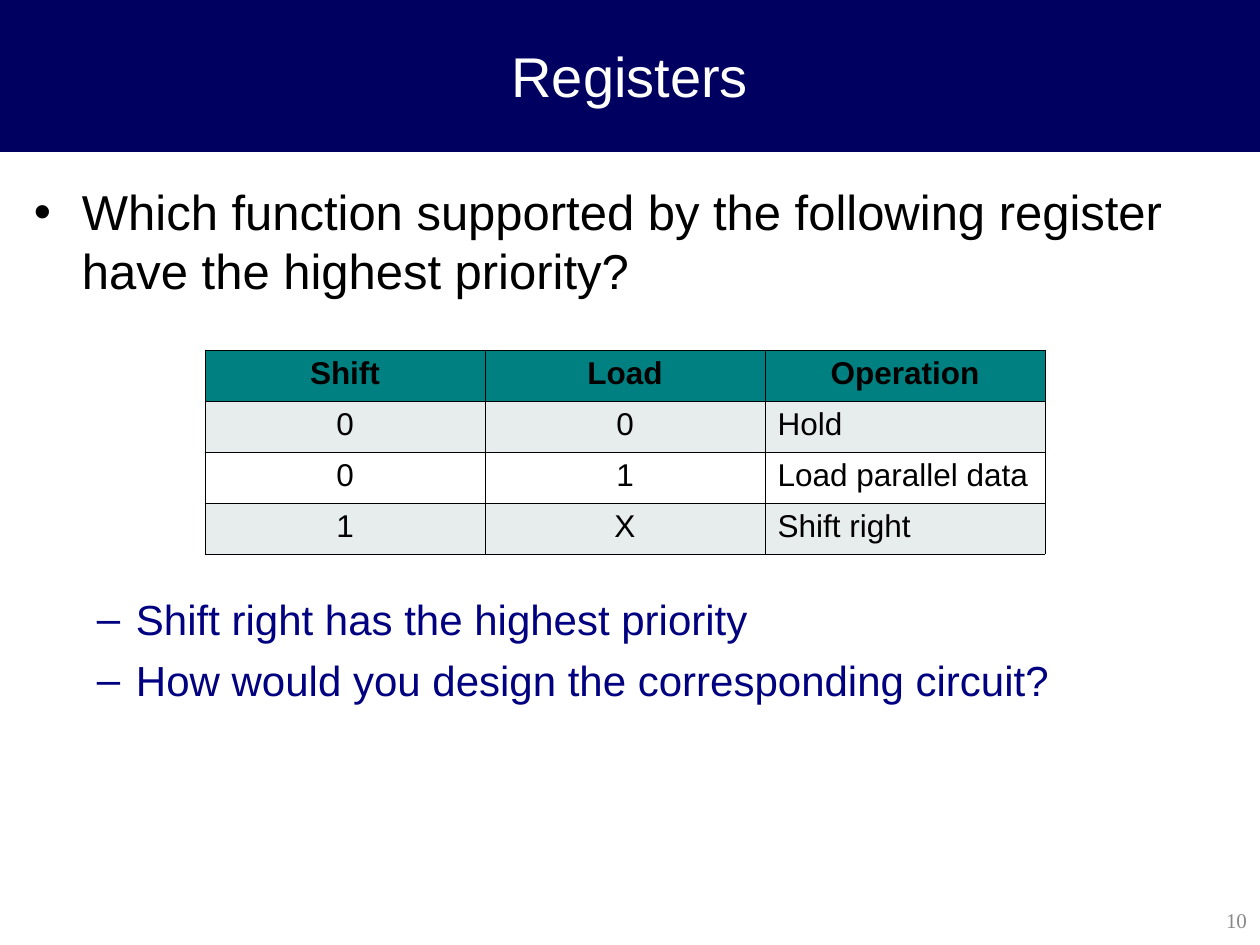
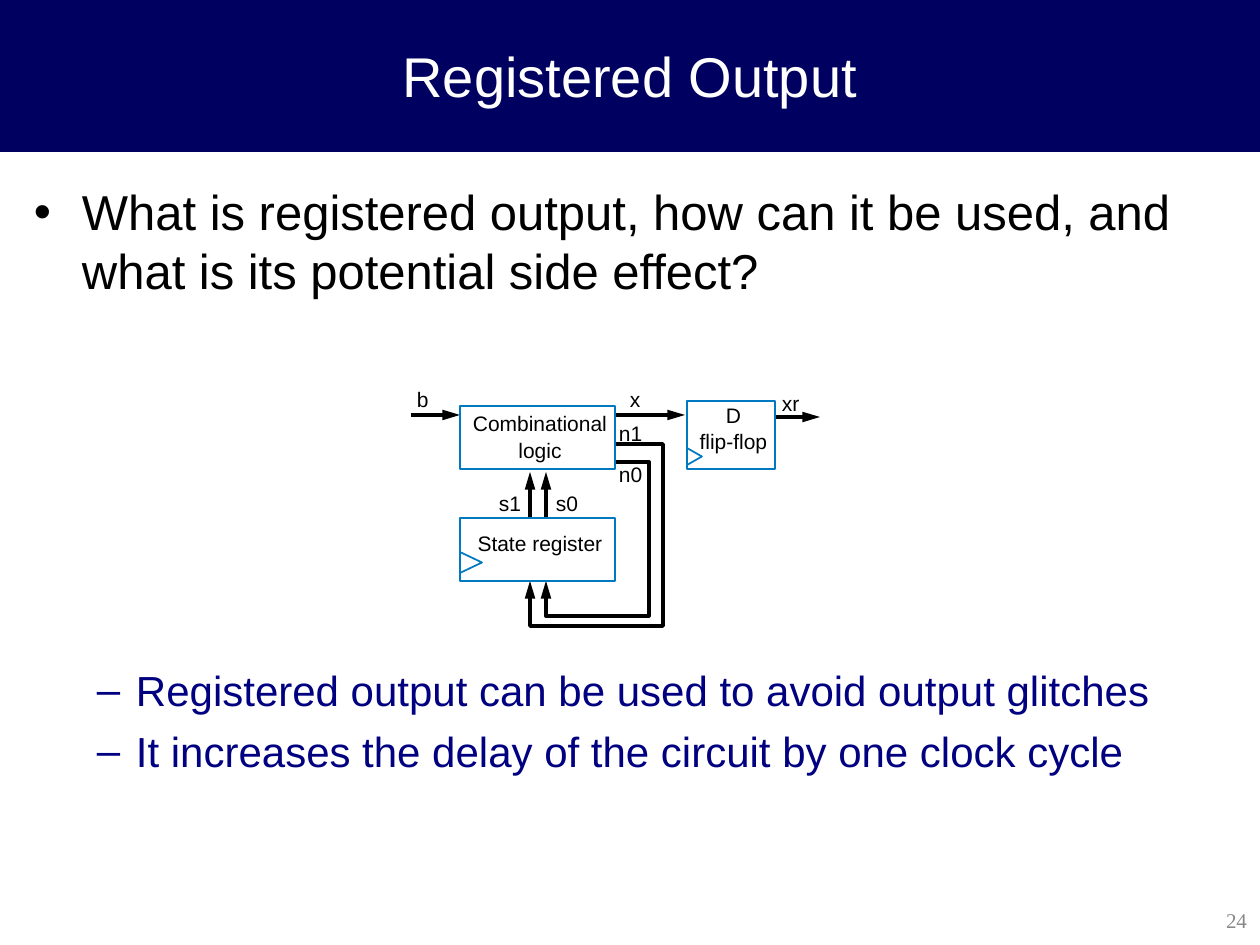
from dataclasses import dataclass

from lxml import etree
from pptx import Presentation
from pptx.dml.color import RGBColor
from pptx.enum.shapes import MSO_CONNECTOR, MSO_SHAPE
from pptx.enum.text import MSO_ANCHOR, PP_ALIGN
from pptx.oxml.ns import qn
from pptx.util import Emu, Pt

RECT = MSO_SHAPE.RECTANGLE
STRAIGHT = MSO_CONNECTOR.STRAIGHT
TOP, MIDDLE = MSO_ANCHOR.TOP, MSO_ANCHOR.MIDDLE
LEFT, CENTER, RIGHT = PP_ALIGN.LEFT, PP_ALIGN.CENTER, PP_ALIGN.RIGHT


@dataclass(frozen=True)
class Theme:
    font: str = "Arial"
    number_font: str = "Times New Roman"
    band: str = "000060"
    white: str = "FFFFFF"
    ink: str = "000000"
    answer: str = "000080"
    number: str = "898989"
    header: str = "008080"
    stripe: str = "E7EDED"
    block: str = "0079C1"
    title_size: int = 32
    question_size: int = 28
    answer_size: int = 24
    table_size: int = 18
    small_size: int = 12


T = Theme()
PX = 914400 / 126
LEADING = 1.2

# Boxes: left, top, width, height in px
SLIDE = (1260, 945)
BAND = (0, 0, 1260, 151)
QUESTION = (21, 176, 1218, 130)
NUMBER = (993, 895, 267, 50)
TABLE = (205, 350, 840, 204)
DIAGRAM = (401, 377, 431, 262)


def px(n):
    return Emu(round(n * PX))


def emu(box):
    return [px(n) for n in box]


def rgb(color):
    return RGBColor.from_string(color)


def assign(obj, values):
    for name, value in values.items():
        setattr(obj, name, value)


def write(p, text, size, color=T.ink, font=T.font, bold=False, **paragraph):
    r = p.add_run()
    r.text = text
    assign(r.font, {"size": Pt(size), "name": font, "bold": bold})
    r.font.color.rgb = rgb(color)
    assign(p, paragraph)


def set_frame(tf, anchor=TOP, insets=(13, 6, 13, 6)):
    sides = ("margin_left", "margin_top", "margin_right", "margin_bottom")
    assign(tf, {"word_wrap": True, "vertical_anchor": anchor})
    assign(tf, dict(zip(sides, emu(insets))))
    return tf


def add_text(s, box, **frame):
    return set_frame(s.shapes.add_textbox(*emu(box)).text_frame, **frame)


def outline(sp, color, width):
    sp.line.color.rgb = rgb(color)
    sp.line.width = Pt(width)


def add_bullet(p, char, color, left, hang):
    pPr = p._p.get_or_add_pPr()
    pPr.set("marL", str(px(left)))
    pPr.set("indent", str(-px(hang)))
    clr = etree.SubElement(pPr, qn("a:buClr"))
    etree.SubElement(clr, qn("a:srgbClr"), val=color)
    etree.SubElement(pPr, qn("a:buFont"), typeface=T.font)
    etree.SubElement(pPr, qn("a:buChar"), char=char)


def add_arrowhead(sp):
    etree.SubElement(sp.line._get_or_add_ln(), qn("a:tailEnd"),
                     type="triangle", w="med", len="lg")


# Title band, question, answers and slide number
def add_bullets(s, box, lines, char, size, color, left, hang, gap):
    tf = add_text(s, box)
    for i, line in enumerate(lines):
        p = tf.add_paragraph() if i else tf.paragraphs[0]
        add_bullet(p, char, color, left, hang)
        write(p, line, size, color, line_spacing=Pt(size * LEADING),
              space_before=Pt(gap if i else 0))


def add_question_slide(prs, title, number, question, answers, answers_top):
    s = prs.slides.add_slide(prs.slide_layouts[6])
    band = s.shapes.add_shape(RECT, *emu(BAND))
    band.shadow.inherit = False
    band.fill.solid()
    band.fill.fore_color.rgb = rgb(T.band)
    outline(band, T.band, 0.75)
    tf = set_frame(band.text_frame, anchor=MIDDLE)
    write(tf.paragraphs[0], title, T.title_size, T.white, alignment=CENTER)

    left, _, width, _ = QUESTION
    add_bullets(s, QUESTION, [question], "•", T.question_size, T.ink, 48, 48, 7)
    add_bullets(s, (left, answers_top, width, 125), answers, "–",
                T.answer_size, T.answer, 102, 39, 6)

    tf = add_text(s, NUMBER, anchor=MIDDLE)
    write(tf.paragraphs[0], str(number), T.small_size, T.number,
          T.number_font, alignment=RIGHT)
    return s


# Table of register operations
def add_borders(cell):
    tcPr = cell._tc.get_or_add_tcPr()
    for i, side in enumerate(("lnL", "lnR", "lnT", "lnB")):
        ln = etree.Element(qn(f"a:{side}"), w=str(Pt(0.45)))
        fill = etree.SubElement(ln, qn("a:solidFill"))
        etree.SubElement(fill, qn("a:srgbClr"), val=T.ink)
        tcPr.insert(i, ln)


def add_operations(s, box, rows):
    width, height = box[2:]
    table = s.shapes.add_table(len(rows), len(rows[0]), *emu(box)).table
    assign(table, {"first_row": False, "horz_banding": False})
    for col in table.columns:
        col.width = px(width / len(rows[0]))
    for i, row in enumerate(rows):
        table.rows[i].height = px(height / len(rows))
        fill = T.header if i == 0 else T.stripe if i % 2 else T.white
        for j, text in enumerate(row):
            cell = table.cell(i, j)
            cell.fill.solid()
            cell.fill.fore_color.rgb = rgb(fill)
            add_borders(cell)
            align = LEFT if i and j == len(row) - 1 else CENTER
            write(cell.text_frame.paragraphs[0], text, T.table_size,
                  bold=i == 0, alignment=align)


# Circuit diagram
def add_path(s, points, color, width):
    start, *rest = [emu(point) for point in points]
    builder = s.shapes.build_freeform(*start)
    builder.add_line_segments(rest, close=False)
    sp = builder.convert_to_shape()
    sp.shadow.inherit = False
    sp.fill.background()
    outline(sp, color, width)
    return sp


def add_block(s, box, lines, insets):
    sp = s.shapes.add_shape(RECT, *emu(box))
    sp.shadow.inherit = False
    sp.fill.background()
    outline(sp, T.block, 1.5)
    tf = set_frame(sp.text_frame, insets=insets)
    for i, line in enumerate(lines):
        p = tf.add_paragraph() if i else tf.paragraphs[0]
        write(p, line, T.small_size, alignment=CENTER, line_spacing=Pt(15))


def add_clock(s, x, y, width, height):
    points = [(x, y + height), (x + width, y + height / 2), (x, y)]
    add_path(s, points, T.block, 1)


def add_arrow(s, start, end):
    c = s.shapes.add_connector(STRAIGHT, *emu(start + end))
    etree.SubElement(c._element.spPr, qn("a:effectLst"))
    outline(c, T.ink, 2)
    add_arrowhead(c)


def add_circuit(s, box):
    left, top = box[:2]

    def at(x, y, *size):
        return (left + x, top + y, *size)

    arrows = [
        ((10, 38), (59, 38)), ((215, 38), (284, 38)), ((375, 40), (419, 40)),
        ((129, 140), (129, 95)), ((145, 140), (145, 95)),
    ]
    for start, end in arrows:
        add_arrow(s, at(*start), at(*end))

    # Next-state feedback: out at n1 and n0, down, and up into the register
    for out_y, far_x, low_y, in_x in ((67, 262, 249, 129), (85, 248, 239, 145)):
        points = [(215, out_y), (far_x, out_y), (far_x, low_y),
                  (in_x, low_y), (in_x, 204)]
        add_arrowhead(add_path(s, [at(*pt) for pt in points], T.ink, 2))

    add_block(s, at(59, 29, 155, 63), ["Combinational", "logic"], (5, 4, 0, 0))
    add_block(s, at(59, 141, 155, 63), ["State register"], (5, 12, 0, 0))
    add_block(s, at(286, 24, 88, 68), ["D", "flip-flop"], (5, 0, 0, 0))
    add_clock(s, *at(59, 175, 22, 21))
    add_clock(s, *at(286, 71, 15, 17))

    labels = {
        "b": (16, 10), "x": (229, 10), "xr": (381, 14), "n1": (218, 44),
        "n0": (218, 85), "s1": (98, 114), "s0": (155, 114),
    }
    for text, spot in labels.items():
        tf = add_text(s, at(*spot, 28, 25), insets=(0, 0, 0, 0))
        write(tf.paragraphs[0], text, T.small_size)


def main():
    prs = Presentation()
    prs.slide_width, prs.slide_height = emu(SLIDE)

    s = add_question_slide(
        prs, "Registers", 10,
        "Which function supported by the following register have the highest priority?",
        ["Shift right has the highest priority",
         "How would you design the corresponding circuit?"], 588)
    add_operations(s, TABLE, [
        ("Shift", "Load", "Operation"),
        ("0", "0", "Hold"),
        ("0", "1", "Load parallel data"),
        ("1", "X", "Shift right"),
    ])

    s = add_question_slide(
        prs, "Registered Output", 24,
        "What is registered output, how can it be used, and what is its potential side effect?",
        ["Registered output can be used to avoid output glitches",
         "It increases the delay of the circuit by one clock cycle"], 659)
    add_circuit(s, DIAGRAM)

    prs.save("out.pptx")


if __name__ == "__main__":
    main()
